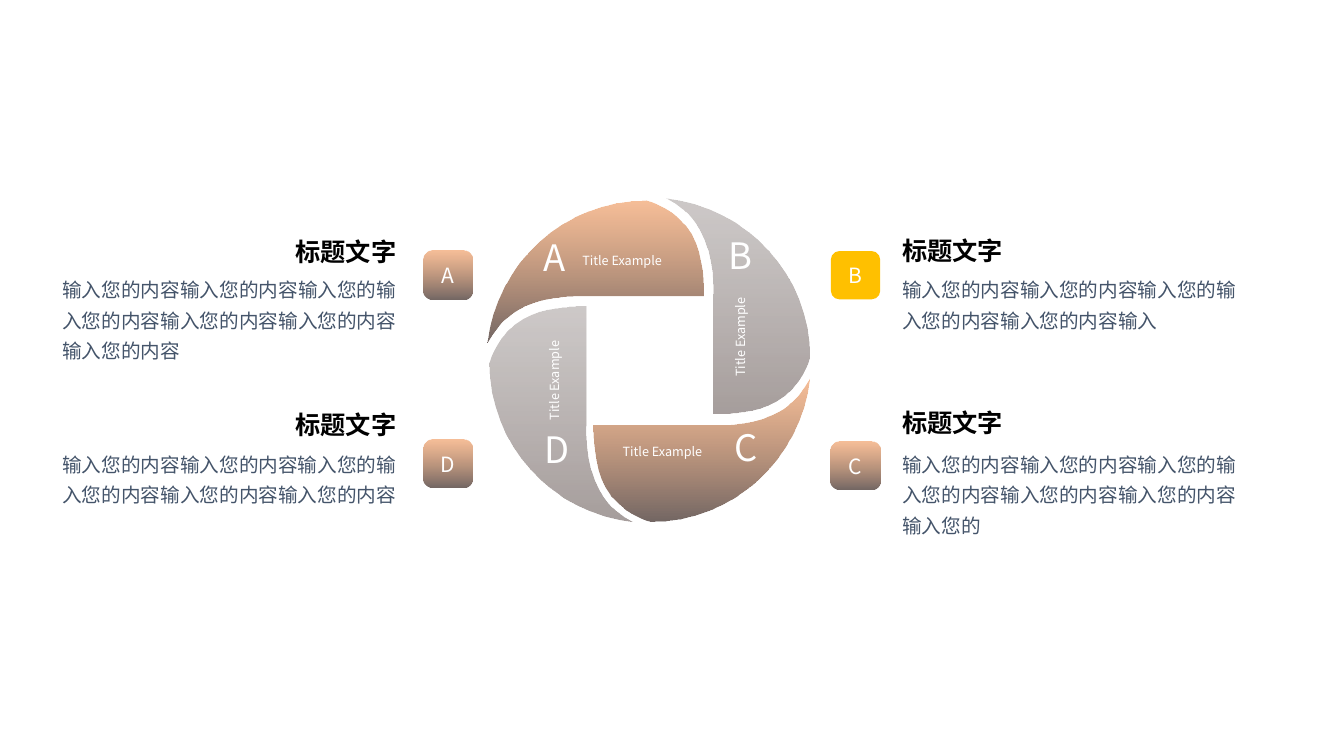
from lxml import etree
from pptx import Presentation
from pptx.dml.color import RGBColor
from pptx.enum import shapes, text
from pptx.oxml.ns import qn
from pptx.util import Inches, Pt

FONT = "Noto Sans CJK SC"
COPPER = (("ED7D31", 50), ("392723", 71))
STONE = (("4C3C39", 28), ("392723", 45))
GOLD = "FFC000"
ARCH_CENTER = (6.435, 3.58)
PILLAR_CENTER = (6.44, 3.57)

ARCH = [
    [(5.15, 3.07)],
    [(5.35, 2.96), (5.61, 2.94), (5.74, 2.94)],
    [(5.79, 2.94), (5.82, 2.94), (5.83, 2.94)],
    [(6.98, 2.94)],
    [(6.98, 2.86), (6.98, 2.55), (6.86, 2.33)],
    [(6.71, 2.07), (6.44, 2), (6.41, 1.99)],
    [(5.6, 1.99), (4.93, 2.61), (4.84, 3.4)],
    [(4.9, 3.3), (4.99, 3.16), (5.15, 3.07)],
]
PILLAR = [
    [(5.19, 3.16)],
    [(4.93, 3.31), (4.86, 3.57), (4.85, 3.6)],
    [(4.85, 4.41), (5.47, 5.08), (6.27, 5.17)],
    [(6.16, 5.11), (6.03, 5.02), (5.94, 4.86)],
    [(5.78, 4.59), (5.81, 4.21), (5.81, 4.19)],
    [(5.81, 3.04)],
    [(5.8, 3.04), (5.78, 3.04), (5.76, 3.04)],
    [(5.62, 3.04), (5.38, 3.05), (5.19, 3.16)],
]


def color(value):
    """Turn a hex string into a colour."""
    return RGBColor.from_string(value)


def paint(shape, fill):
    """Fill a shape with a hex colour or a vertical translucent gradient."""
    shape.shadow.inherit = False
    shape.line.fill.background()
    if isinstance(fill, str):
        shape.fill.solid()
        shape.fill.fore_color.rgb = color(fill)
        return
    shape.fill.gradient()
    shape.fill.gradient_angle = 270
    for stop, (value, _) in zip(shape.fill.gradient_stops, fill):
        stop.color.rgb = color(value)
    tints = shape.element.spPr.findall(f".//{qn('a:srgbClr')}")
    for tint, (_, opacity) in zip(tints, fill):
        etree.SubElement(tint, qn("a:alpha")).set("val", str(opacity * 1000))


def write(shape, words, size, ink="FFFFFF", align="CENTER", bold=False,
          spacing=None, inset=0, anchor="TOP"):
    """Put one formatted paragraph into a shape."""
    frame = shape.text_frame
    frame.word_wrap = True
    frame.vertical_anchor = getattr(text.MSO_ANCHOR, anchor)
    frame.margin_left = frame.margin_right = Inches(inset)
    frame.margin_top = frame.margin_bottom = Inches(inset / 2)
    para = frame.paragraphs[0]
    para.alignment = getattr(text.PP_ALIGN, align)
    para.line_spacing = spacing
    span = para.add_run()
    span.text = words
    span.font.size = Pt(size)
    span.font.name = FONT
    span.font.bold = bold
    span.font.color.rgb = color(ink)
    etree.SubElement(span.font._element, qn("a:ea")).set("typeface", FONT)


def add_text(page, words, left, top, width, height, turn=0, **style):
    """Add a text box that grows with its text."""
    box = page.shapes.add_textbox(*map(Inches, (left, top, width, height)))
    box.rotation = turn
    write(box, words, **style)
    box.text_frame.auto_size = text.MSO_AUTO_SIZE.SHAPE_TO_FIT_TEXT


def bend(blade, pieces):
    """Join each three segments of a curved piece into one cubic curve."""
    segments = iter(blade.element.spPr.findall(f".//{qn('a:lnTo')}"))
    for piece in pieces:
        group = [next(segments) for _ in piece]
        if len(group) == 3:
            curve = etree.Element(qn("a:cubicBezTo"))
            group[0].addprevious(curve)
            for segment in group:
                curve.append(segment[0])
                segment.getparent().remove(segment)


def add_blade(page, pieces, fill, center=None):
    """Draw one blade of the wheel, turned half way round a given center."""
    points = [point for piece in pieces for point in piece]
    if center:
        points = [(2 * center[0] - x, 2 * center[1] - y) for x, y in points]
    first, *rest = [(Inches(x), Inches(y)) for x, y in points]
    builder = page.shapes.build_freeform(*first)
    builder.add_line_segments(rest, close=True)
    blade = builder.convert_to_shape()
    bend(blade, pieces[1:])
    paint(blade, fill)


def add_badge(page, letter, left, top, fill):
    """Add a rounded square with a letter."""
    badge = page.shapes.add_shape(shapes.MSO_SHAPE.ROUNDED_RECTANGLE,
                                  *map(Inches, (left, top, 0.49, 0.48)))
    badge.adjustments[0] = 0.18
    paint(badge, fill)
    write(badge, letter, size=15, anchor="MIDDLE")


def add_note(page, words, title_left, title_top, left, top, width, height, align):
    """Add a heading with its body text."""
    add_text(page, "标题文字", title_left, title_top, 2.27, 0.33,
             size=18, ink="000000", align=align, bold=True, spacing=1.2)
    add_text(page, words, left, top, width, height,
             size=14, ink="44546A", align="LEFT", spacing=1.3, inset=0.1)


def main():
    """Build the slide."""
    deck = Presentation()
    deck.slide_width, deck.slide_height = Inches(13.33), Inches(7.5)
    page = deck.slides.add_slide(deck.slide_layouts[6])

    blades = [
        ("A", ARCH, COPPER, None, (5.25, 2.33), (5.53, 2.51), 0),
        ("C", ARCH, COPPER, ARCH_CENTER, (7.15, 4.22), (5.93, 4.4), 0),
        ("B", PILLAR, STONE, PILLAR_CENTER, (7.09, 2.31), (6.7, 3.27), 270),
        ("D", PILLAR, STONE, None, (5.28, 4.24), (4.86, 3.7), 270),
    ]
    for letter, pieces, fill, center, letter_at, label_at, turn in blades:
        add_blade(page, pieces, fill, center)
        add_text(page, letter, *letter_at, 0.5, 0.44, size=26)
        add_text(page, "Title Example", *label_at, 1.28, 0.15, turn=turn, size=9)

    for letter, left, top, fill in (("A", 4.2, 2.49, COPPER), ("B", 8.24, 2.49, GOLD),
                                    ("C", 8.24, 4.38, COPPER), ("D", 4.2, 4.36, COPPER)):
        add_badge(page, letter, left, top, fill)

    opening = "输入您的内容输入您的内容输入您的输入您的内容输入您的内容输入"
    notes = [
        ("您的内容输入您的内容", 1.66, 2.28, 0.52, 2.64, 3.59, 1.02, "RIGHT"),
        ("您的内容", 1.66, 4, 0.52, 4.37, 3.54, 0.68, "RIGHT"),
        ("您的内容输入您的", 8.95, 3.98, 8.85, 4.37, 3.55, 1.02, "LEFT"),
        ("", 8.95, 2.27, 8.85, 2.64, 3.55, 0.68, "LEFT"),
    ]
    for ending, *place in notes:
        add_note(page, opening + ending, *place)

    deck.save("out.pptx")


if __name__ == "__main__":
    main()
